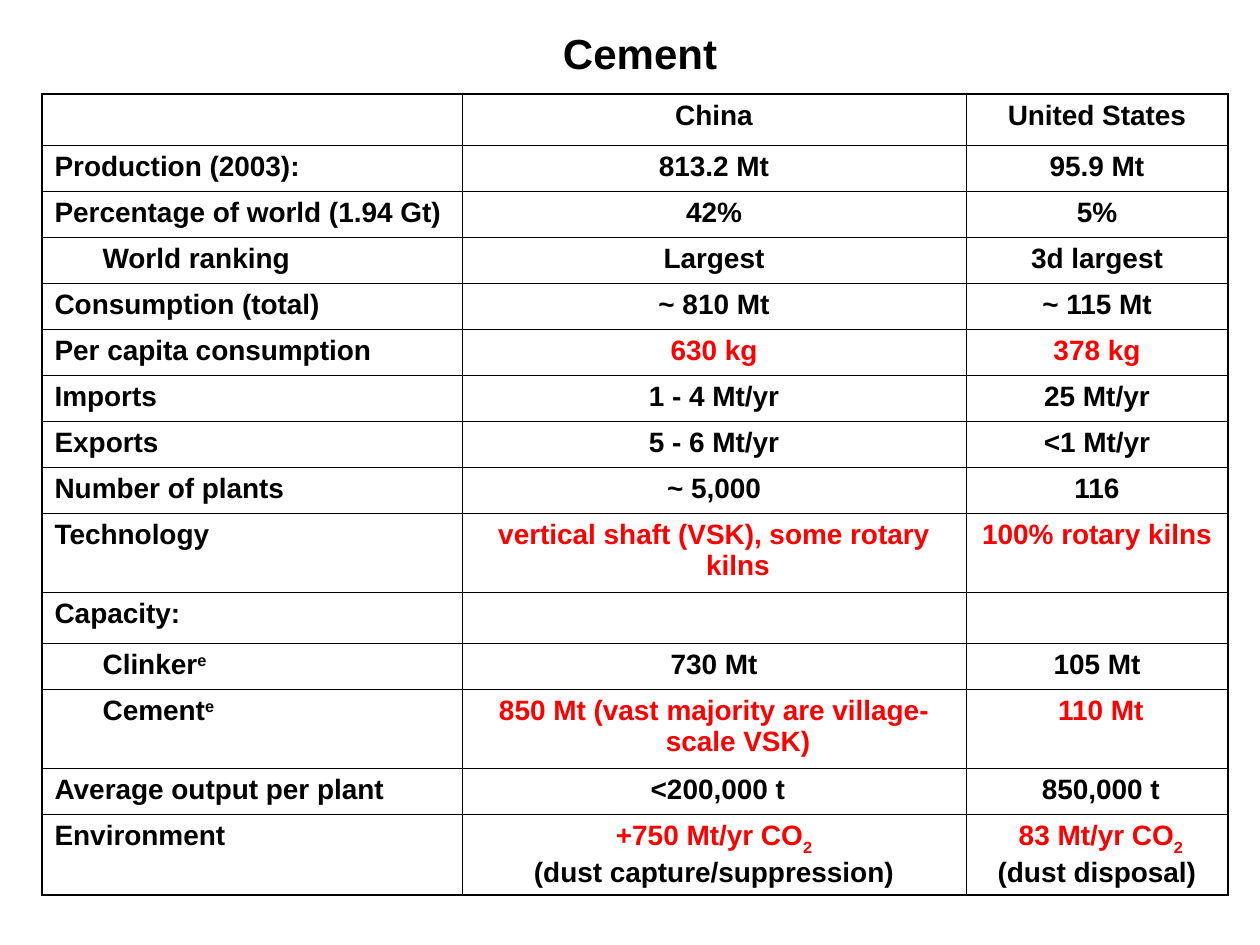
import pptx
import pptx.dml.color
import pptx.enum.text
import pptx.oxml
import pptx.oxml.ns
import pptx.util
import lxml.etree

EMU_PER_PX = 914400 / 126
THEME = {
    "font": "Arial",
    "title_size": pptx.util.Pt(24),
    "cell_size": pptx.util.Pt(16),
    "text": pptx.dml.color.RGBColor(0, 0, 0),
    "highlight": pptx.dml.color.RGBColor(255, 0, 0),
    "border": "000000",
    "outer_line": pptx.util.Pt(1.08),
    "inner_line": pptx.util.Pt(0.45),
}
CENTER = pptx.enum.text.PP_ALIGN.CENTER
LEFT = pptx.enum.text.PP_ALIGN.LEFT

COLUMN_WIDTHS = [420, 504, 262]
ROW_HEIGHT = 46
TALL_ROWS = {"Technology": 79, "\tCement^e": 79, "Environment": 81}
HIGHLIGHTED_ROWS = {"Per capita consumption", "Technology", "\tCement^e", "Environment"}
# "^" raises and "_" lowers the text that follows it.
BASELINES = {"^": "30000", "_": "-30000"}
ROWS = [
    ("", "China", "United States"),
    ("Production (2003):", "813.2 Mt", "95.9 Mt"),
    ("Percentage of world (1.94 Gt)", "42%", "5%"),
    ("\tWorld ranking", "Largest", "3d largest"),
    ("Consumption (total)", "~ 810 Mt", "~ 115 Mt"),
    ("Per capita consumption", "630 kg", "378 kg"),
    ("Imports", "1 - 4 Mt/yr", "25 Mt/yr"),
    ("Exports", "5 - 6 Mt/yr", "<1 Mt/yr"),
    ("Number of plants", "~ 5,000", "116"),
    ("Technology", "vertical shaft (VSK), some rotary kilns", "100% rotary kilns"),
    ("Capacity:", "", ""),
    ("\tClinker^e", "730 Mt", "105 Mt"),
    ("\tCement^e", "850 Mt (vast majority are village-scale VSK)", " 110 Mt"),
    ("Average output per plant", " <200,000 t", " 850,000 t"),
    ("Environment", "+750 Mt/yr CO_2\n(dust capture/suppression)",
     " 83 Mt/yr CO_2\n(dust disposal)"),
]


def px(length):
    return pptx.util.Emu(round(length * EMU_PER_PX))


def write_paragraph(paragraph, text, align, size, color, indent=0):
    """Write text with a hanging indent, raising or lowering any marked tail."""
    paragraph.alignment = align
    if indent:
        properties = paragraph._p.get_or_add_pPr()
        properties.set("marL", str(px(indent)))
        properties.set("indent", str(px(-indent)))
        stops = lxml.etree.SubElement(properties, pptx.oxml.ns.qn("a:tabLst"))
        for inch in range(8):
            lxml.etree.SubElement(stops, pptx.oxml.ns.qn("a:tab"),
                                  pos=str(pptx.util.Inches(inch)), algn="l")
    paragraph.font.name = THEME["font"]
    paragraph.font.size = size
    paragraph.font.bold = True
    paragraph.font.color.rgb = color
    mark = next((m for m in BASELINES if m in text), None)
    body, _, tail = text.partition(mark) if mark else (text, "", "")
    paragraph.add_run().text = body
    if tail:
        shifted = paragraph.add_run()
        shifted.text = tail
        shifted._r.get_or_add_rPr().set("baseline", BASELINES[mark])


presentation = pptx.Presentation()
presentation.slide_width = px(1260)
presentation.slide_height = px(945)
slide = presentation.slides.add_slide(presentation.slide_layouts[5])

title = slide.shapes.title
title.left, title.top, title.width, title.height = px(73), px(32), px(1134), px(42)
title.text_frame.vertical_anchor = pptx.enum.text.MSO_ANCHOR.MIDDLE
write_paragraph(title.text_frame.paragraphs[0], "Cement", CENTER,
                THEME["title_size"], THEME["text"])

heights = [TALL_ROWS.get(row[0], ROW_HEIGHT) for row in ROWS]
cement = slide.shapes.add_table(len(ROWS), len(COLUMN_WIDTHS), px(42), px(94),
                                px(sum(COLUMN_WIDTHS)), px(sum(heights))).table
cement.first_row = False
cement.horz_banding = False
for column, width in zip(cement.columns, COLUMN_WIDTHS):
    column.width = px(width)

last_row, last_column = len(ROWS) - 1, len(COLUMN_WIDTHS) - 1
for r, values in enumerate(ROWS):
    cement.rows[r].height = px(heights[r])
    for c, value in enumerate(values):
        cell = cement.cell(r, c)
        on_edge = {"L": c == 0, "R": c == last_column, "T": r == 0, "B": r == last_row}
        for side, outer in on_edge.items():
            width = THEME["outer_line" if outer else "inner_line"]
            cell._tc.get_or_add_tcPr().append(pptx.oxml.parse_xml(
                f'<a:ln{side} {pptx.oxml.ns.nsdecls("a")} w="{width}"><a:solidFill>'
                f'<a:srgbClr val="{THEME["border"]}"/></a:solidFill></a:ln{side}>'))
        cell.fill.background()
        if not value:
            continue
        for n, line in enumerate(value.split("\n")):
            frame = cell.text_frame
            paragraph = frame.add_paragraph() if n else frame.paragraphs[0]
            highlighted = c > 0 and n == 0 and values[0] in HIGHLIGHTED_ROWS
            write_paragraph(paragraph, line, CENTER if c else LEFT, THEME["cell_size"],
                            THEME["highlight" if highlighted else "text"], indent=48)

presentation.save("out.pptx")
